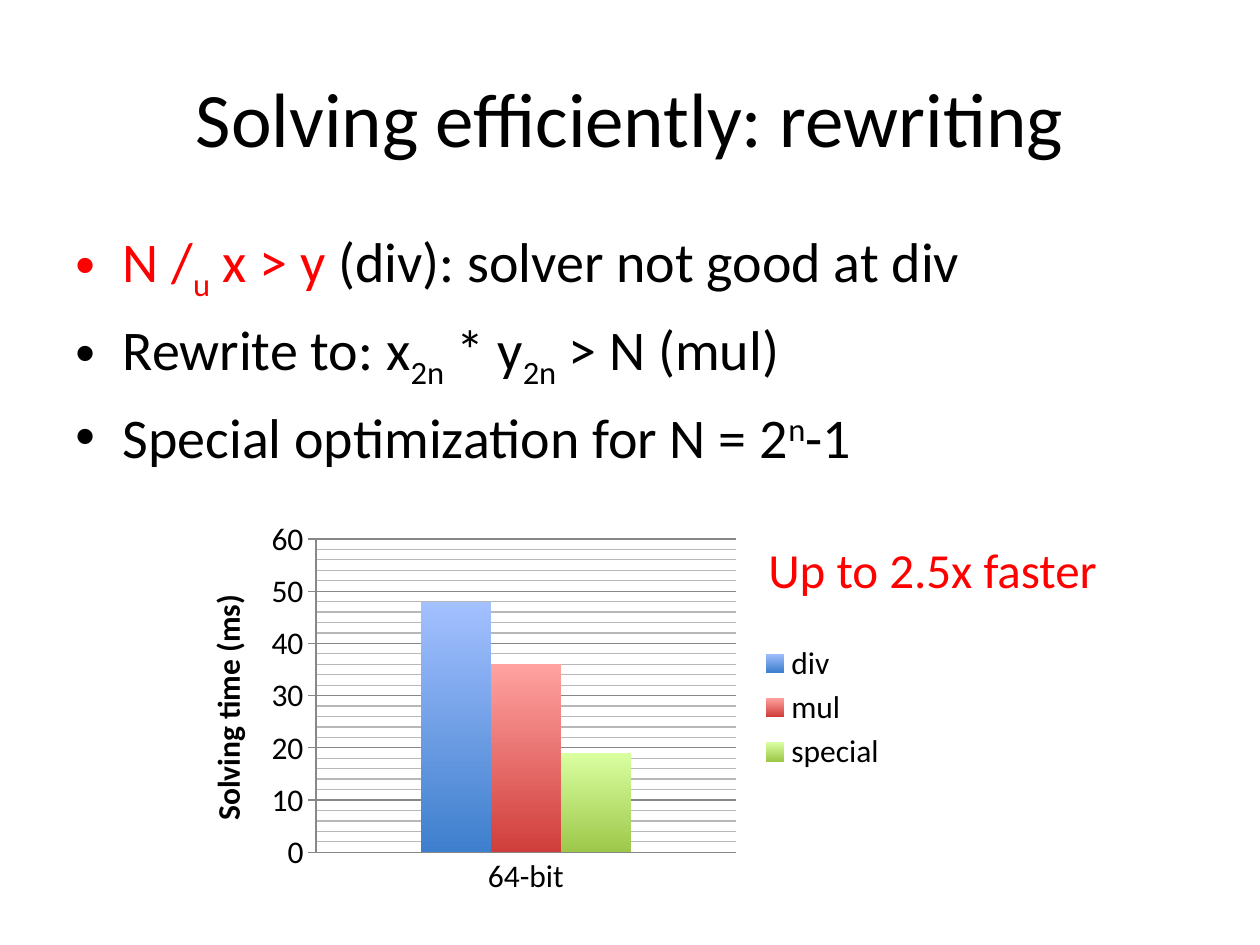
import copy
import lxml.etree
import pptx
import pptx.chart.data
import pptx.dml.color
import pptx.enum.chart
import pptx.enum.text
import pptx.oxml
import pptx.oxml.ns
import pptx.util

Pt = pptx.util.Pt
qn = pptx.oxml.ns.qn
COLOURS = {
    "text": "000000",
    "accent": "FF0000",
    "axis": "878787",
    "minor_grid": "B7B7B7",
}
SERIES = [
    ("div", 48, "A3C0FF", "3E7FCD"),
    ("mul", 36, "FFA2A0", "D03E3B"),
    ("special", 19, "D9FFA0", "9DC84A"),
]
TITLE = [("Solving efficiently: rewriting", "text", 0)]
BULLETS = [
    [
        ("N /", "accent", 0),
        ("u", "accent", -25),
        (" x > y ", "accent", 0),
        ("(div): solver not good at div", "text", 0),
    ],
    [
        ("Rewrite to: x", "text", 0),
        ("2n", "text", -25),
        (" * y", "text", 0),
        ("2n", "text", -25),
        (" > N (mul)", "text", 0),
    ],
    [("Special optimization for N = 2", "text", 0), ("n", "text", 30), ("-1", "text", 0)],
]
CALLOUT = [("Up to 2.5x faster", "accent", 0)]


def rgb(value):
    return pptx.dml.color.RGBColor.from_string(value)


def add_text(slide, position, paragraphs, size, frame_format):
    frame = slide.shapes.add_textbox(*map(Pt, position)).text_frame
    for name, value in frame_format.items():
        setattr(frame, name, value)
    for index, runs in enumerate(paragraphs):
        paragraph = frame.add_paragraph() if index else frame.paragraphs[0]
        for text, colour, baseline in runs:
            run = paragraph.add_run()
            run.text = text
            for name, value in {"name": "Calibri", "size": Pt(size)}.items():
                setattr(run.font, name, value)
            run.font.color.rgb = rgb(COLOURS[colour])
            if baseline:
                run.font._element.set("baseline", str(baseline * 1000))
    return frame


presentation = pptx.Presentation()
presentation.slide_width = Pt(720)
presentation.slide_height = Pt(540)
slide = presentation.slides.add_slide(presentation.slide_layouts[6])

title = add_text(
    slide, (36, 21.6, 648, 90), [TITLE], 44,
    {"word_wrap": True, "vertical_anchor": pptx.enum.text.MSO_ANCHOR.MIDDLE},
)
title.paragraphs[0].alignment = pptx.enum.text.PP_ALIGN.CENTER

body = add_text(slide, (36, 126, 648, 356.4), BULLETS, 32, {"word_wrap": True})
for paragraph in body.paragraphs:
    properties = paragraph._element.get_or_add_pPr()
    properties.set("marL", str(Pt(27)))
    properties.set("indent", str(-Pt(27)))
    spacing = lxml.etree.SubElement(properties, qn("a:spcBef"))
    lxml.etree.SubElement(spacing, qn("a:spcPct")).set("val", "20000")
    lxml.etree.SubElement(properties, qn("a:buFont")).set("typeface", "Arial")
    lxml.etree.SubElement(properties, qn("a:buChar")).set("char", "•")

chart_data = pptx.chart.data.CategoryChartData()
chart_data.categories = ["64-bit"]
for name, value, *_ in SERIES:
    chart_data.add_series(name, [value])
chart = slide.shapes.add_chart(
    pptx.enum.chart.XL_CHART_TYPE.COLUMN_CLUSTERED,
    Pt(107.3), Pt(292.3), Pt(406.8), Pt(223.9), chart_data,
).chart
chart.has_title = False
for name, value in {"name": "Calibri", "size": Pt(18)}.items():
    setattr(chart.font, name, value)
chart.font.color.rgb = rgb(COLOURS["text"])

plot = chart.plots[0]
for name, value in {"gap_width": 300, "overlap": 0, "vary_by_categories": False}.items():
    setattr(plot, name, value)
for series, (_, _, top, bottom) in zip(plot.series, SERIES):
    fill = series.format.fill
    fill.gradient()
    fill.gradient_angle = 270
    for stop, colour in zip(fill.gradient_stops, (top, bottom)):
        stop.color.rgb = rgb(colour)

chart.has_legend = True
legend_format = {
    "position": pptx.enum.chart.XL_LEGEND_POSITION.RIGHT,
    "include_in_layout": False,
}
for name, value in legend_format.items():
    setattr(chart.legend, name, value)

value_axis = chart.value_axis
tick_marks = pptx.enum.chart.XL_TICK_MARK
value_format = {
    "minimum_scale": 0,
    "maximum_scale": 60,
    "major_unit": 10,
    "minor_unit": 2,
    "has_major_gridlines": True,
    "has_minor_gridlines": True,
    "major_tick_mark": tick_marks.CROSS,
    "minor_tick_mark": tick_marks.NONE,
}
for name, value in value_format.items():
    setattr(value_axis, name, value)
chart.category_axis.major_tick_mark = tick_marks.NONE
for part in (value_axis, chart.category_axis, value_axis.major_gridlines):
    part.format.line.width = Pt(0.75)
    part.format.line.color.rgb = rgb(COLOURS["axis"])

axis_element = value_axis._element
major_style = axis_element.find(qn("c:majorGridlines")).find(qn("c:spPr"))
minor_style = copy.deepcopy(major_style)
for colour_element in minor_style.iter(qn("a:srgbClr")):
    colour_element.set("val", COLOURS["minor_grid"])
axis_element.find(qn("c:minorGridlines")).append(minor_style)

axis_title = value_axis.axis_title.text_frame
axis_title.text = "Solving time (ms)"
axis_font = axis_title.paragraphs[0].runs[0].font
for name, value in {"name": "Calibri", "size": Pt(18), "bold": True}.items():
    setattr(axis_font, name, value)
axis_font.color.rgb = rgb(COLOURS["text"])
axis_body = axis_title._element.find(qn("a:bodyPr"))
axis_body.set("rot", "-5400000")
axis_body.set("vert", "horz")

plot_area = plot._element.getparent()
layout = plot_area.find(qn("c:layout"))
if layout is None:
    layout = pptx.oxml.parse_xml(
        '<c:layout xmlns:c="http://schemas.openxmlformats.org/drawingml/2006/chart"/>'
    )
    plot_area.insert(0, layout)
manual = lxml.etree.SubElement(layout, qn("c:manualLayout"))
for tag, value in [
    ("layoutTarget", "inner"), ("xMode", "edge"), ("yMode", "edge"),
    ("x", "0.18"), ("y", "0.07"), ("w", "0.59"), ("h", "0.8"),
]:
    lxml.etree.SubElement(manual, qn("c:" + tag)).set("val", value)

add_text(slide, (432, 304.6, 205.9, 41), [CALLOUT], 28, {"word_wrap": False})

presentation.save("out.pptx")
